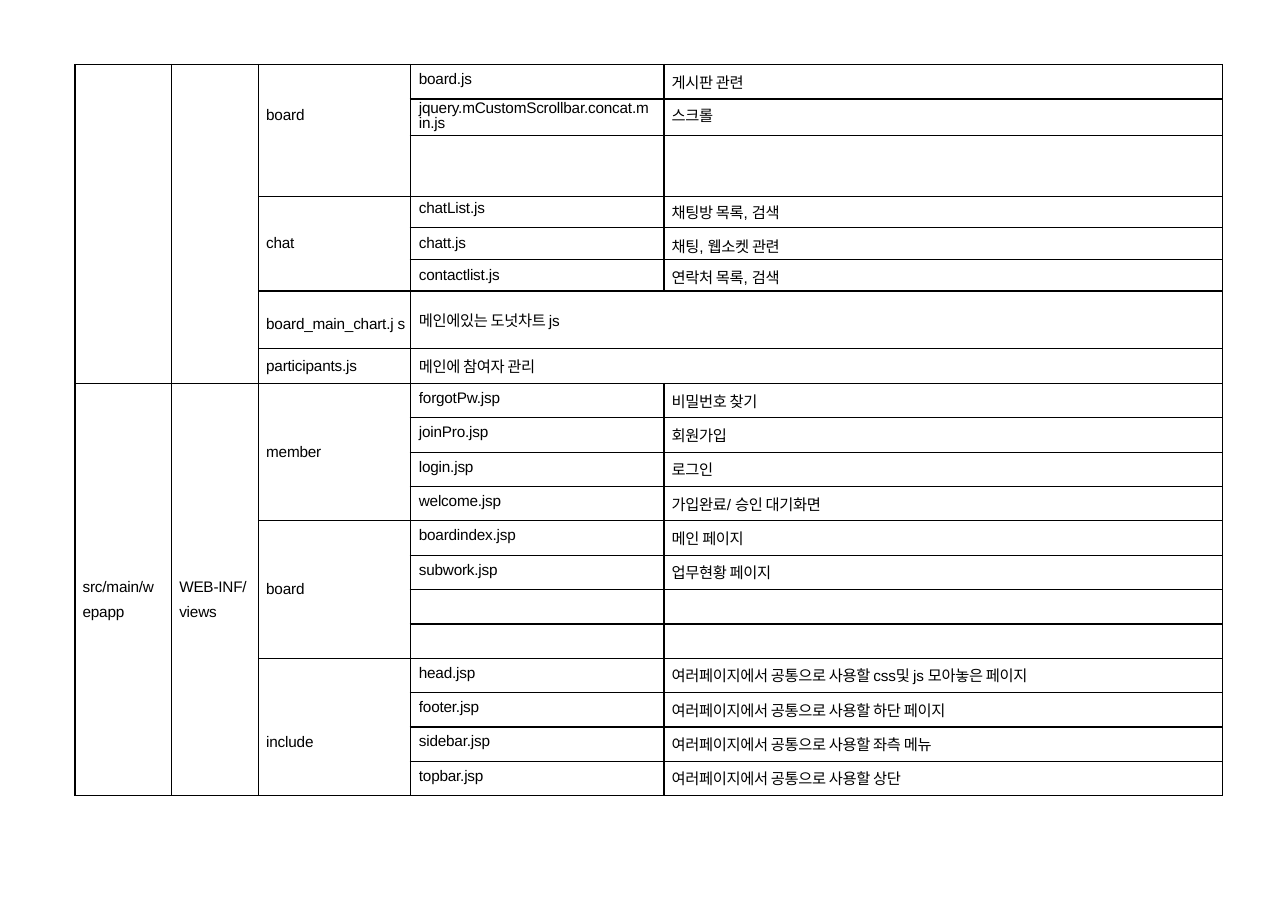
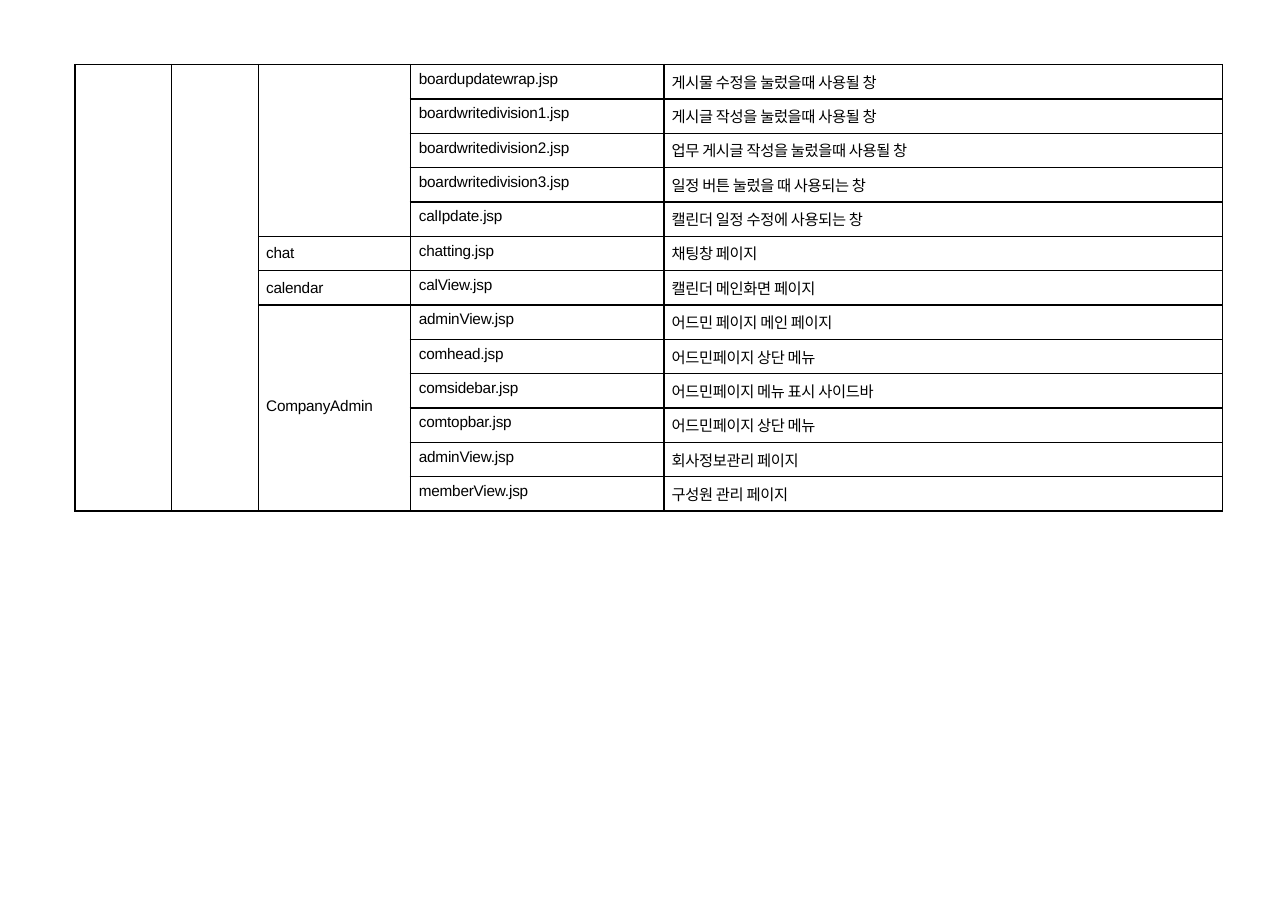
"""Build the two file-structure table slides."""
from dataclasses import dataclass

from lxml import etree
from pptx import Presentation
from pptx.dml.color import RGBColor
from pptx.enum.text import MSO_ANCHOR
from pptx.oxml.ns import qn
from pptx.util import Pt

TOP, MIDDLE = MSO_ANCHOR.TOP, MSO_ANCHOR.MIDDLE
BLANK_LAYOUT = 6


@dataclass(frozen=True)
class Theme:
    """Colours, fonts and measures (points) shared by both slides."""
    ink: str = "000000"
    latin: str = "Arial"
    hangul: str = "Noto Sans CJK KR"
    size: float = 10
    border: float = 1
    slide: tuple = (841.7, 596.2)
    origin: tuple = (49, 42.2)
    columns: tuple = (63.2, 56.8, 99.2, 165.8, 364.9)
    row: float = 22.46
    indent: float = 5
    file_indent: float = 5.6
    file_top: float = 4


THEME = Theme()


@dataclass(frozen=True)
class Folder:
    """A folder label with its files, or one description across both columns."""
    label: str
    files: tuple = ()
    summary: str = ""
    top: float = 0
    bottom: float = 0
    leading: float = 0

    @property
    def rows(self):
        """Return the number of table rows taken."""
        return max(1, len(self.files))


@dataclass(frozen=True)
class File:
    """A file name with its description."""
    name: str = ""
    description: str = ""
    top: float = THEME.file_top
    leading: float = 0


@dataclass(frozen=True)
class Source:
    """The rows and path lines of the two leading columns."""
    rows: int
    root: tuple = ()
    branch: tuple = ()


SCRIPT_FOLDERS = (
    Folder("board", (
        File("board.js", "게시판 관련"),
        File("jquery.mCustomScrollbar.concat.m in.js", "스크롤", 1.4, 10),
        File(),
    ), bottom=19.6),
    Folder("chat", (
        File("chatList.js", "채팅방 목록|, |검색", 2.6),
        File("chatt.js", "채팅|, |웹소켓 관련", 4.6),
        File("contactlist.js", "연락처 목록|, |검색", 4.6),
    )),
    Folder("board_main_chart.j s", summary="메인에있는 도넛차트 |js", leading=17.3),
    Folder("participants.js", summary="메인에 참여자 관리"),
)
VIEW_FOLDERS = (
    Folder("member", (
        File("forgotPw.jsp", "비밀번호 찾기"),
        File("joinPro.jsp", "회원가입"),
        File("login.jsp", "로그인"),
        File("welcome.jsp", "가입완료|/ |승인 대기화면"),
    )),
    Folder("board", (
        File("boardindex.jsp", "메인 페이지"),
        File("subwork.jsp", "업무현황 페이지"),
        File(),
        File(),
    )),
    Folder("include", (
        File("head.jsp", "여러페이지에서 공통으로 사용할 |css|및 |js |모아놓은 페이지"),
        File("footer.jsp", "여러페이지에서 공통으로 사용할 하단 페이지"),
        File("sidebar.jsp", "여러페이지에서 공통으로 사용할 좌측 메뉴"),
        File("topbar.jsp", "여러페이지에서 공통으로 사용할 상단"),
    ), top=20),
)
PAGE_FOLDERS = (
    Folder("", (
        File("boardupdatewrap.jsp", "게시물 수정을 눌렀을때 사용될 창"),
        File("boardwritedivision1.jsp", "게시글 작성을 눌렀을때 사용될 창"),
        File("boardwritedivision2.jsp", "업무 게시글 작성을 눌렀을때 사용될 창"),
        File("boardwritedivision3.jsp", "일정 버튼 눌렀을 때 사용되는 창"),
        File("calIpdate.jsp", "캘린더 일정 수정에 사용되는 창"),
    )),
    Folder("chat", (File("chatting.jsp", "채팅창 페이지"),)),
    Folder("calendar", (File("calView.jsp", "캘린더 메인화면 페이지"),)),
    Folder("CompanyAdmin", (
        File("adminView.jsp", "어드민 페이지 메인 페이지"),
        File("comhead.jsp", "어드민페이지 상단 메뉴"),
        File("comsidebar.jsp", "어드민페이지 메뉴 표시 사이드바"),
        File("comtopbar.jsp", "어드민페이지 상단 메뉴"),
        File("adminView.jsp", "회사정보관리 페이지"),
        File("memberView.jsp", "구성원 관리 페이지"),
    ), bottom=2),
)
SCRIPT_HEIGHTS = (22.5, 24, 39.6, 20.5, 20.8, 20.8, 37.6, 22.8)
SLIDES = (
    (SCRIPT_FOLDERS + VIEW_FOLDERS,
     (Source(8), Source(12, ("src/main/w epapp",), ("WEB-INF/", "views"))),
     SCRIPT_HEIGHTS + (THEME.row,) * 12),
    (PAGE_FOLDERS, (Source(13),), (THEME.row,) * 13),
)


def add_run(paragraph, text):
    """Add one run in the font of its script."""
    is_hangul = text[0] >= "가"
    run = paragraph.add_run()
    run.text = text
    run.font.size = Pt(THEME.size)
    run.font.color.rgb = RGBColor.from_string(THEME.ink)
    run.font.name = THEME.hangul if is_hangul else THEME.latin
    properties = run.font._element
    properties.set("spc", "-20" if is_hangul else "-10")
    if is_hangul:
        east_asian = etree.SubElement(properties, qn("a:ea"))
        east_asian.set("typeface", THEME.hangul)


def write(cell, *lines, anchor=MIDDLE, indent=THEME.indent, top=0, bottom=0, leading=0):
    """Write one paragraph a line; a bar in a line starts a new run."""
    cell.vertical_anchor = anchor
    cell.margin_left, cell.margin_right = Pt(indent), 0
    cell.margin_top, cell.margin_bottom = Pt(top), Pt(bottom)
    for index, line in enumerate(filter(None, lines)):
        frame = cell.text_frame
        paragraph = frame.add_paragraph() if index else frame.paragraphs[0]
        if leading:
            paragraph.line_spacing = Pt(leading)
        for part in line.split("|"):
            add_run(paragraph, part)


def style_cell(cell):
    """Clear the fill, draw the borders and size an empty paragraph."""
    cell.fill.background()
    properties = cell._tc.get_or_add_tcPr()
    for index, side in enumerate(("a:lnL", "a:lnR", "a:lnT", "a:lnB")):
        line = etree.Element(qn(side), w=str(Pt(THEME.border)))
        fill = etree.SubElement(line, qn("a:solidFill"))
        etree.SubElement(fill, qn("a:srgbClr"), val=THEME.ink)
        properties.insert(index, line)
    if not cell.text_frame.text:
        paragraph = cell.text_frame.paragraphs[0]._p
        etree.SubElement(paragraph, qn("a:endParaRPr"), sz=str(int(THEME.size * 100)))


def merge_block(table, row, column, rows=1, columns=1):
    """Merge a block of cells and return its first cell."""
    first = table.cell(row, column)
    if rows * columns > 1:
        first.merge(table.cell(row + rows - 1, column + columns - 1))
    return first


def fill_sources(table, sources):
    """Fill the two leading path columns."""
    row = 0
    for source in sources:
        for column, lines in enumerate((source.root, source.branch)):
            write(merge_block(table, row, column, source.rows), *lines, top=8, leading=16.7)
        row += source.rows


def fill_folders(table, folders):
    """Fill the folder, file and description columns."""
    row = 0
    for folder in folders:
        write(merge_block(table, row, 2, folder.rows), folder.label,
              top=folder.top, bottom=folder.bottom, leading=folder.leading)
        if folder.summary:
            write(merge_block(table, row, 3, columns=2), folder.summary,
                  indent=THEME.file_indent)
        for offset, file in enumerate(folder.files):
            write(table.cell(row + offset, 3), file.name, anchor=TOP,
                  indent=THEME.file_indent, top=file.top, leading=file.leading)
            write(table.cell(row + offset, 4), file.description, anchor=TOP,
                  top=max(file.top, THEME.file_top - 1))
        row += folder.rows


def add_file_table(slide, folders, sources, heights):
    """Add the bordered table of folders and files."""
    left, top = THEME.origin
    table = slide.shapes.add_table(
        len(heights), len(THEME.columns), Pt(left), Pt(top),
        Pt(sum(THEME.columns)), Pt(sum(heights))).table
    table.first_row = table.horz_banding = False
    for column, width in zip(table.columns, THEME.columns):
        column.width = Pt(width)
    for row, height in zip(table.rows, heights):
        row.height = Pt(height)
    fill_sources(table, sources)
    fill_folders(table, folders)
    for cell in table.iter_cells():
        style_cell(cell)


def main():
    """Build and save the presentation."""
    presentation = Presentation()
    presentation.slide_width, presentation.slide_height = map(Pt, THEME.slide)
    layout = presentation.slide_layouts[BLANK_LAYOUT]
    for folders, sources, heights in SLIDES:
        add_file_table(presentation.slides.add_slide(layout), folders, sources, heights)
    presentation.save("out.pptx")


if __name__ == "__main__":
    main()
